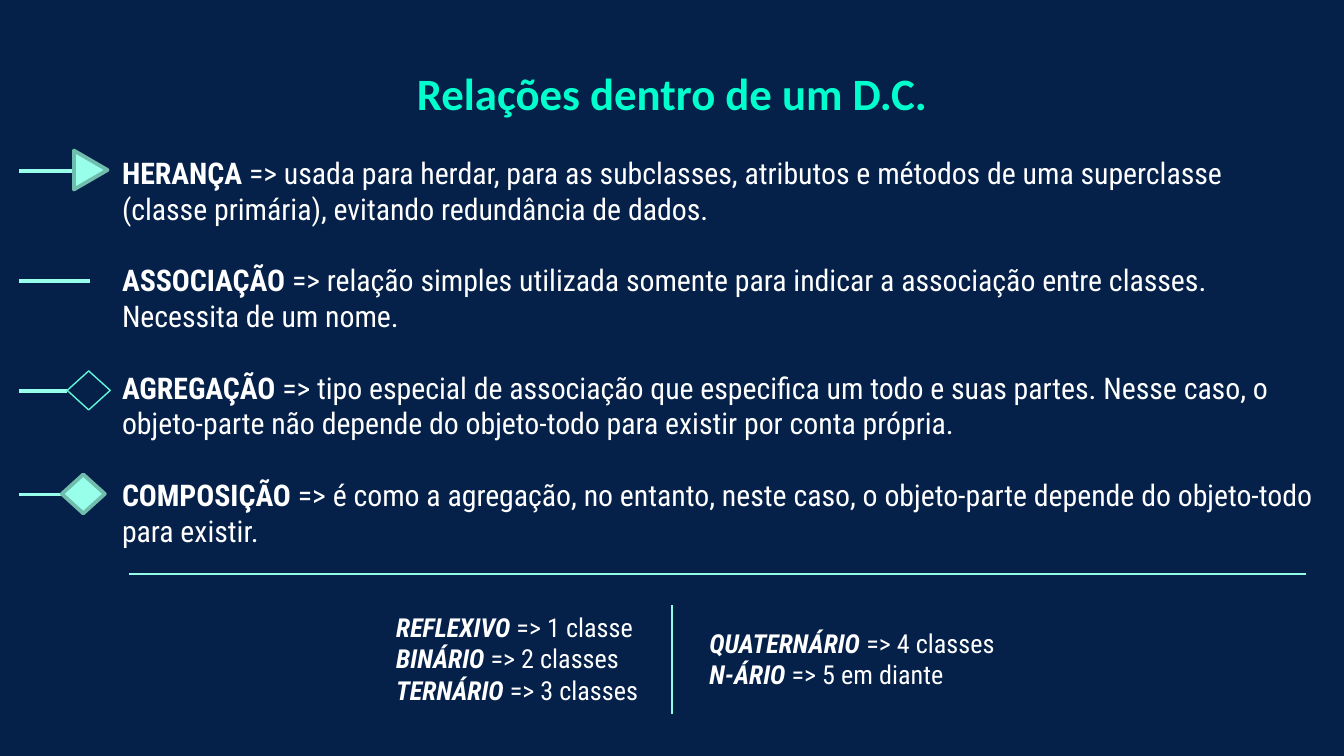
from pptx import Presentation
from pptx.dml.color import RGBColor
from pptx.enum.shapes import MSO_CONNECTOR as Conn, MSO_SHAPE as Kind
from pptx.enum.text import PP_ALIGN as Align
from pptx.oxml.ns import qn
from pptx.util import Inches, Pt
from lxml.etree import SubElement

NAVY, WHITE, TITLE = "05214A", "FFFFFF", "00FFCD"
MINT, EDGE, RULE, HOLLOW = "98FFEA", "70BDAD", "92FCE6", "62F8DA"
BODY = "Roboto Condensed"

HEAD = "Relações dentro de um D.C."
LINKS = [
    ("HERANÇA", "usada para herdar, para as subclasses, atributos e métodos "
     "de uma superclasse (classe primária), evitando redundância de dados."),
    ("ASSOCIAÇÃO", "relação simples utilizada somente para indicar a "
     "associação entre classes. Necessita de um nome."),
    ("AGREGAÇÃO", "tipo especial de associação que especifica um todo e suas "
     "partes. Nesse caso, o objeto-parte não depende do objeto-todo para "
     "existir por conta própria."),
    ("COMPOSIÇÃO", "é como a agregação, no entanto, neste caso, o "
     "objeto-parte depende do objeto-todo para existir."),
]
SMALL = [("REFLEXIVO", "1 classe"), ("BINÁRIO", "2 classes"),
         ("TERNÁRIO", "3 classes")]
LARGE = [("QUATERNÁRIO", "4 classes"), ("N-ÁRIO", "5 em diante")]

# Connector ends: x1, y1, x2, y2, colour, width
LINES = [(0.96, 4.27, 9.72, 4.27, RULE, 0.75), (5, 4.5, 5, 5.31, RULE, 0.75)]
LINES += [(0.14, y, x, y, MINT, 2) for x, y in
          [(0.57, 1.27), (0.67, 2.09), (0.5, 2.91), (0.57, 3.68)]]

# Arrow tips: kind, box, turn, fill, edge colour, edge width
TIPS = [
    (Kind.ISOSCELES_TRIANGLE, (0.53, 1.14, 0.29, 0.25), 90, MINT, EDGE, 2),
    (Kind.FLOWCHART_DECISION, (0.46, 3.53, 0.32, 0.29), 0, MINT, EDGE, 2),
    (Kind.FLOWCHART_DECISION, (0.5, 2.76, 0.32, 0.29), 0, None, HOLLOW, 0.75),
]


def rgb(code):
    return RGBColor.from_string(code)


def place(box):
    return [Inches(n) for n in box]


def add_run(para, text, color=WHITE, **style):
    run = para.add_run()
    run.text = text
    for key, value in style.items():
        setattr(run.font, key, value)
    run.font.color.rgb = rgb(color)


def add_box(slide, box):
    frame = slide.shapes.add_textbox(*place(box)).text_frame
    frame.word_wrap = True
    return frame


def add_terms(slide, box, terms, size, gap=0, italic=False):
    """Write one paragraph per term: bold name, arrow, meaning."""
    frame = add_box(slide, box)
    for i, (name, text) in enumerate(terms):
        para = frame.add_paragraph() if i else frame.paragraphs[0]
        para.space_before = Pt(gap if i else 0)
        font = {"name": BODY, "size": Pt(size)}
        add_run(para, name, bold=True, italic=italic, **font)
        add_run(para, f" => {text}", bold=False, italic=False, **font)


def set_line(line, color, width):
    line.color.rgb = rgb(color)
    line.width = Pt(width)


def add_line(slide, x1, y1, x2, y2, color, width):
    link = slide.shapes.add_connector(Conn.STRAIGHT, *place((x1, y1, x2, y2)))
    set_line(link.line, color, width)
    SubElement(link._element.spPr, qn("a:effectLst"))


def add_tip(slide, kind, box, turn, fill, color, width):
    tip = slide.shapes.add_shape(kind, *place(box))
    tip.shadow.inherit = False
    tip.rotation = turn
    if fill:
        tip.fill.solid()
        tip.fill.fore_color.rgb = rgb(fill)
    else:
        tip.fill.background()
    set_line(tip.line, color, width)


def main():
    deck = Presentation()
    deck.slide_width = Inches(10)
    deck.slide_height = deck.slide_width * 9 // 16
    slide = deck.slides.add_slide(deck.slide_layouts[6])
    back = slide.background.fill
    back.solid()
    back.fore_color.rgb = rgb(NAVY)

    frame = add_box(slide, (2.15, 0.39, 5.7, 1.03))
    frame.margin_top = frame.margin_bottom = Inches(0.1)
    para = frame.paragraphs[0]
    para.alignment = Align.CENTER
    add_run(para, HEAD, TITLE, name="Calibri", size=Pt(24), bold=True)

    add_terms(slide, (0.81, 1.1, 9.06, 3.06), LINKS, 16, gap=19.2)
    add_terms(slide, (2.85, 4.5, 2.1, 0.81), SMALL, 14, italic=True)
    add_terms(slide, (5.18, 4.62, 3.6, 0.57), LARGE, 14, italic=True)
    for line in LINES:
        add_line(slide, *line)
    for tip in TIPS:
        add_tip(slide, *tip)
    deck.save("out.pptx")


if __name__ == "__main__":
    main()
